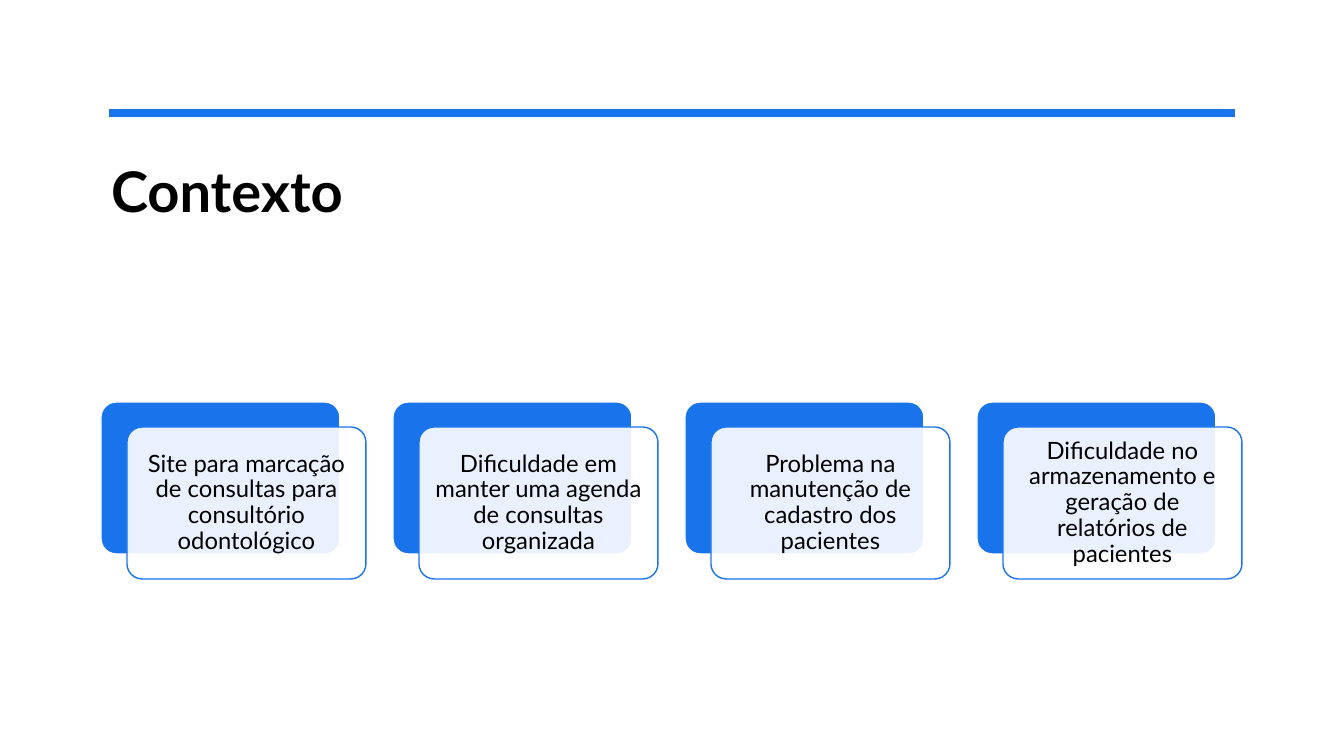
from dataclasses import dataclass

from lxml import etree
from pptx import Presentation
from pptx import util as u
from pptx.dml.color import RGBColor
from pptx.enum import shapes, text
from pptx.oxml.ns import qn

# Content
TITLE = "Contexto"
CARDS = [
    "Site para marcação de consultas para consultório odontológico",
    "Dificuldade em manter uma agenda de consultas organizada",
    "Problema na manutenção de cadastro dos pacientes",
    "Dificuldade no armazenamento e geração de relatórios de pacientes",
]


@dataclass(frozen=True)
class Theme:
    font: str = "Lato"
    blue: RGBColor = RGBColor(0x19, 0x73, 0xEB)
    white: RGBColor = RGBColor(0xFF, 0xFF, 0xFF)
    black: RGBColor = RGBColor(0, 0, 0)
    title_size: int = 40
    card_size: int = 17
    rule_width: int = 6
    outline_width: int = 1
    card_opacity: int = 90


THEME = Theme()

# Layout in px
SLIDE_SIZE = (1344, 756)
TITLE_BOX = (101, 151, 1142, 126)
RULE_LEFT, RULE_RIGHT, RULE_Y = 109, 1235, 113
CARD_LEFT, CARD_TOP, CARD_PITCH = 101, 402, 292
CARD_SIZE = (239, 152)
FRONT_SHIFT = (26, 25)
CARD_INSET = 7


def px(*lengths):
    return [u.Emu(round(length * 914400 / 100.8)) for length in lengths]


def style_paragraph(paragraph, size, bold=False):
    paragraph.font.name = THEME.font
    paragraph.font.size = u.Pt(size)
    paragraph.font.bold = bold
    paragraph.font.color.rgb = THEME.black


def add_panel(slide, left, top, fill, outline):
    shape = slide.shapes.add_shape(
        shapes.MSO_SHAPE.ROUNDED_RECTANGLE, *px(left, top, *CARD_SIZE))
    shape.adjustments[0] = 0.1
    shape.shadow.inherit = False
    shape.fill.solid()
    shape.fill.fore_color.rgb = fill
    shape.line.color.rgb = outline
    shape.line.width = u.Pt(THEME.outline_width)
    return shape


def set_opacity(shape, percent):
    color = shape._element.spPr.find(qn("a:solidFill"))[0]
    etree.SubElement(color, qn("a:alpha"), val=str(percent * 1000))


def add_card(slide, left, top, label):
    add_panel(slide, left, top, THEME.blue, THEME.white)
    front = add_panel(slide, left + FRONT_SHIFT[0], top + FRONT_SHIFT[1],
                      THEME.white, THEME.blue)
    set_opacity(front, THEME.card_opacity)
    frame = front.text_frame
    frame.word_wrap = True
    frame.vertical_anchor = text.MSO_ANCHOR.MIDDLE
    inset, = px(CARD_INSET)
    frame.margin_left = frame.margin_right = inset
    frame.margin_top = frame.margin_bottom = inset
    frame.text = label
    paragraph = frame.paragraphs[0]
    paragraph.alignment = text.PP_ALIGN.CENTER
    paragraph.line_spacing = 0.9
    style_paragraph(paragraph, THEME.card_size)


def main():
    presentation = Presentation()
    presentation.slide_width, presentation.slide_height = px(*SLIDE_SIZE)
    slide = presentation.slides.add_slide(presentation.slide_layouts[5])

    # Title
    title = slide.shapes.title
    title.left, title.top, title.width, title.height = px(*TITLE_BOX)
    title.text_frame.text = TITLE
    title.text_frame.vertical_anchor = text.MSO_ANCHOR.TOP
    paragraph = title.text_frame.paragraphs[0]
    paragraph.alignment = text.PP_ALIGN.LEFT
    style_paragraph(paragraph, THEME.title_size, bold=True)

    # Rule above the title
    rule = slide.shapes.add_connector(
        shapes.MSO_CONNECTOR.STRAIGHT,
        *px(RULE_LEFT, RULE_Y, RULE_RIGHT, RULE_Y))
    rule.line.color.rgb = THEME.blue
    rule.line.width = u.Pt(THEME.rule_width)
    etree.SubElement(rule._element.spPr, qn("a:effectLst"))

    # Row of cards
    for index, label in enumerate(CARDS):
        add_card(slide, CARD_LEFT + index * CARD_PITCH, CARD_TOP, label)

    presentation.save("out.pptx")


if __name__ == "__main__":
    main()
